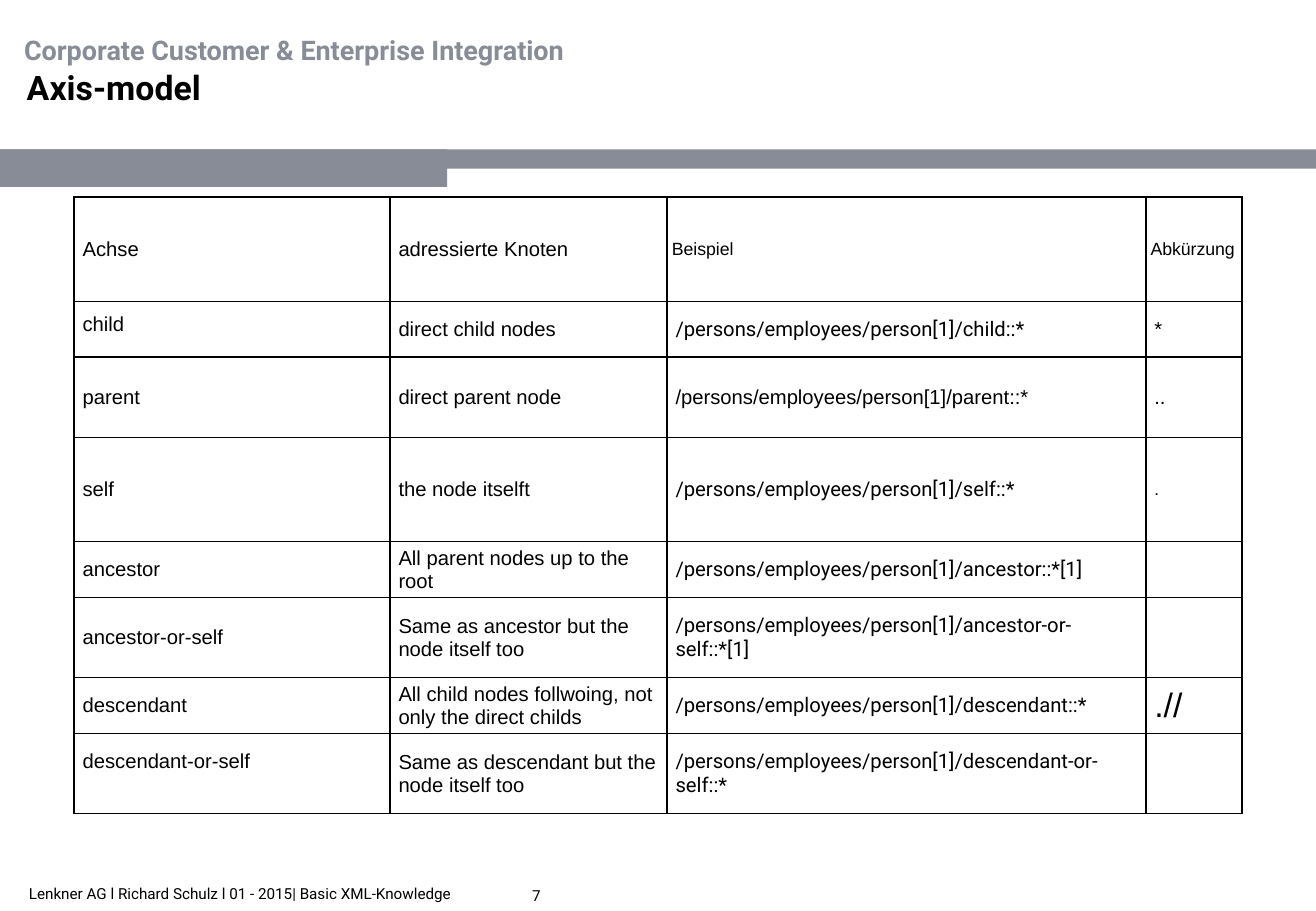
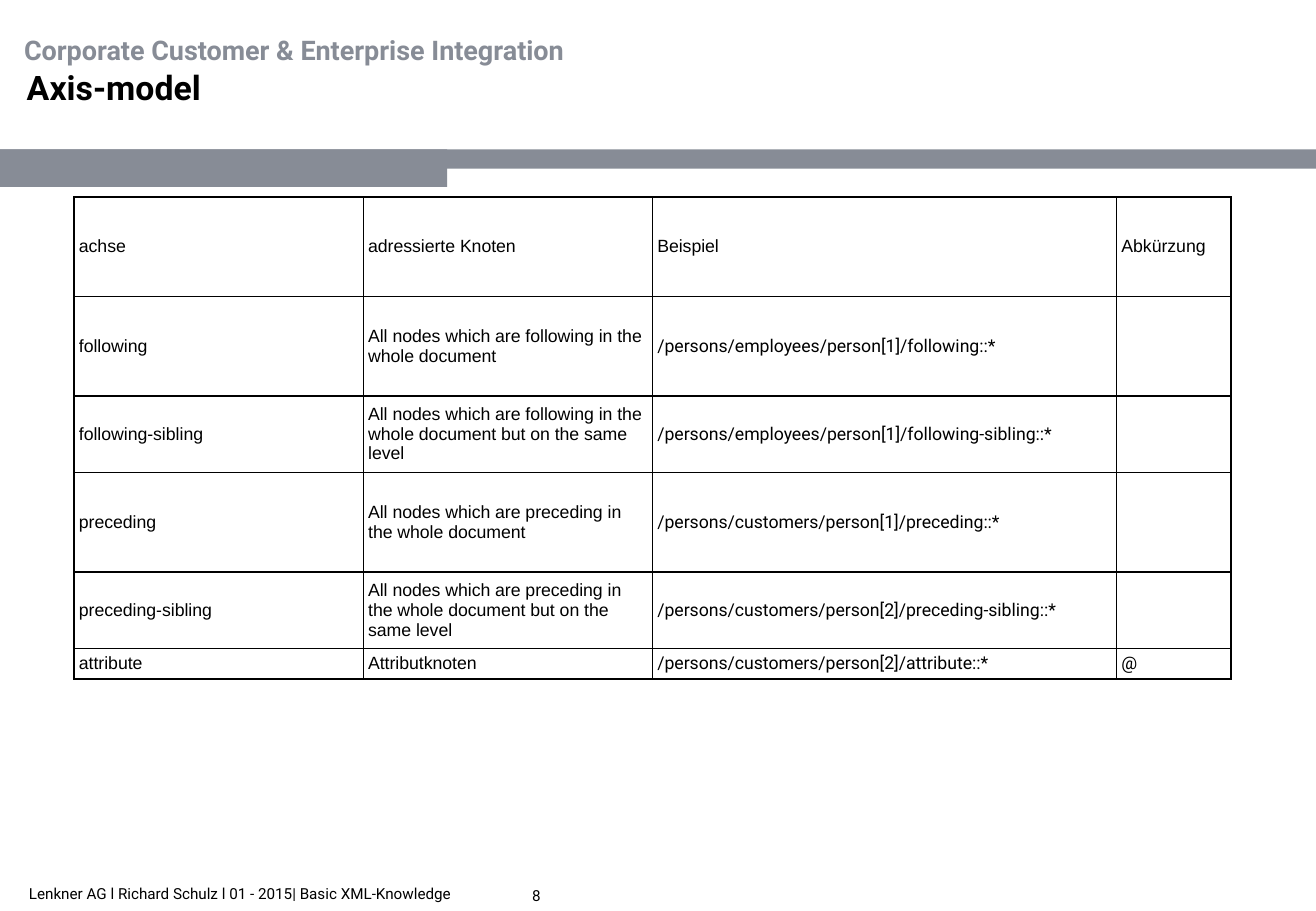
from lxml.etree import SubElement
from pptx import Presentation
from pptx.dml.color import RGBColor
from pptx.enum.shapes import MSO_SHAPE as Form
from pptx.enum.text import MSO_ANCHOR as Anchor, PP_ALIGN as Align
from pptx.oxml.ns import qn
from pptx.util import Inches, Pt

GREY, BLACK = "878C96", "000000"
SANS, BODY = "Arial", "Roboto"


def style(frame, text, size, face=BODY, color=BLACK, bold=False):
    """Fill a text frame with one left-aligned paragraph."""
    par = frame.paragraphs[0]
    par.text = text
    par.alignment = Align.LEFT
    par.font.size = Pt(size)
    par.font.name = face
    par.font.bold = bold
    par.font.color.rgb = RGBColor.from_string(color)


def edge(cell):
    """Draw a thin black line on all four sides of a cell."""
    props = cell._tc.get_or_add_tcPr()
    for side in ("lnL", "lnR", "lnT", "lnB"):
        line = SubElement(props, qn("a:" + side), w=str(Pt(1)))
        fill = SubElement(line, qn("a:solidFill"))
        SubElement(fill, qn("a:srgbClr"), val=BLACK)


prs = Presentation()
prs.slide_width, prs.slide_height = Inches(10.83), Inches(7.5)
layout = prs.slide_layouts[5]
head = layout.placeholders[0]
head.left, head.top = Inches(0.22), Inches(0.55)
head.width, head.height = Inches(10.39), Inches(0.71)

# Each row: axis, nodes, example, short form
vertical = [
    ["Achse", "adressierte Knoten", "Beispiel", "Abkürzung"],
    ["child", "direct child nodes", "/persons/employees/person[1]/child::*", "*"],
    ["parent", "direct parent node", "/persons/employees/person[1]/parent::*", ".."],
    ["self", "the node itselft", "/persons/employees/person[1]/self::*", "."],
    ["ancestor", "All parent nodes up to the root",
     "/persons/employees/person[1]/ancestor::*[1]", ""],
    ["ancestor-or-self", "Same as ancestor but the node itself too",
     "/persons/employees/person[1]/ancestor-or-self::*[1]", ""],
    ["descendant", "All child nodes follwoing, not only the direct childs",
     "/persons/employees/person[1]/descendant::*", ".//"],
    ["descendant-or-self", "Same as descendant but the node itself too",
     "/persons/employees/person[1]/descendant-or-self::*", ""],
]
lateral = [
    ["achse", "adressierte Knoten", "Beispiel", "Abkürzung"],
    ["following", "All nodes which are following in the whole document",
     "/persons/employees/person[1]/following::*", ""],
    ["following-sibling",
     "All nodes which are following in the whole document but on the same level",
     "/persons/employees/person[1]/following-sibling::*", ""],
    ["preceding", "All nodes which are preceding in the whole document",
     "/persons/customers/person[1]/preceding::*", ""],
    ["preceding-sibling",
     "All nodes which are preceding in the whole document but on the same level",
     "/persons/customers/person[2]/preceding-sibling::*", ""],
    ["attribute", "Attributknoten", "/persons/customers/person[2]/attribute::*", "@"],
]

# Exceptions by cell text
sizes = {"Beispiel": 10.5, "Abkürzung": 10.5, ".": 10, ".//": 20}
faces = {"/persons/employees/person[1]/parent::*": SANS, "@": BODY}
lifts = {"child": 0.08, "descendant-or-self": 0.2}
tight = (0.04, 0.02)

# Page number, rows, column widths, row heights, text size, cell margins
pages = [
    (7, vertical, [2.6, 2.28, 3.94, 0.79],
     [0.86, 0.46, 0.66, 0.86, 0.46, 0.66, 0.46, 0.66], 12, (0.07, 0.03)),
    (8, lateral, [2.38, 2.38, 3.82, 0.94],
     [0.82, 0.82, 0.63, 0.82, 0.63, 0.25], 10.5, tight),
]

for page, rows, widths, heights, size, pad in pages:
    slide = prs.slides.add_slide(layout)
    shapes = slide.shapes

    # Bands, header and footer are drawn once and moved to the layout
    if page == pages[0][0]:
        shared = []
        for width, height in ((10.83, 0.16), (3.68, 0.31)):
            band = shapes.add_shape(Form.RECTANGLE, 0, Inches(1.23),
                                    Inches(width), Inches(height))
            band.shadow.inherit = False
            band.fill.solid()
            band.fill.fore_color.rgb = RGBColor.from_string(GREY)
            band.line.fill.background()
            shared.append(band)
        for left, top, width, height, text, pts, color, bold in (
            (0.14, 7.23, 3.87, 0.25,
             "Lenkner AG l Richard Schulz l 01 - 2015| Basic XML-Knowledge",
             9, BLACK, False),
            (0.1, 0.23, 5, 0.37, "Corporate Customer & Enterprise Integration",
             16, GREY, True),
        ):
            box = shapes.add_textbox(Inches(left), Inches(top),
                                     Inches(width), Inches(height))
            style(box.text_frame, text, pts, color=color, bold=bold)
            shared.append(box)
        for num, shape in enumerate(shared, 20):
            shape.element.nvSpPr.cNvPr.id = num
            layout.shapes.element.append(shape.element)

    title = shapes.title.text_frame
    title.margin_left = title.margin_top = title.margin_bottom = 0
    title.margin_right = Inches(2.99)
    title.vertical_anchor = Anchor.TOP
    style(title, "Axis-model", 20, bold=True)

    number = shapes.add_textbox(Inches(4.38), Inches(7.32),
                                Inches(2.08), Inches(0.1)).text_frame
    number.margin_left = number.margin_right = 0
    number.margin_top = number.margin_bottom = 0
    number.vertical_anchor = Anchor.MIDDLE
    style(number, str(page), 9)

    table = shapes.add_table(len(rows), len(widths), Inches(0.61), Inches(1.62),
                             Inches(sum(widths)), Inches(sum(heights))).table
    table.first_row = table.horz_banding = False
    for col, width in zip(table.columns, widths):
        col.width = Inches(width)
    for row, height in zip(table.rows, heights):
        row.height = Inches(height)

    for r, row in enumerate(rows):
        for c, text in enumerate(row):
            cell = table.cell(r, c)
            edge(cell)
            cell.fill.background()
            cell.vertical_anchor = Anchor.MIDDLE
            side, rim = tight if r == 0 and c > 1 else pad
            cell.margin_left = cell.margin_right = Inches(side)
            cell.margin_top = Inches(rim)
            cell.margin_bottom = Inches(rim + lifts.get(text, 0))
            face = BODY if r > 0 and c == 2 else SANS
            style(cell.text_frame, text, sizes.get(text, size), faces.get(text, face))

prs.save("out.pptx")
